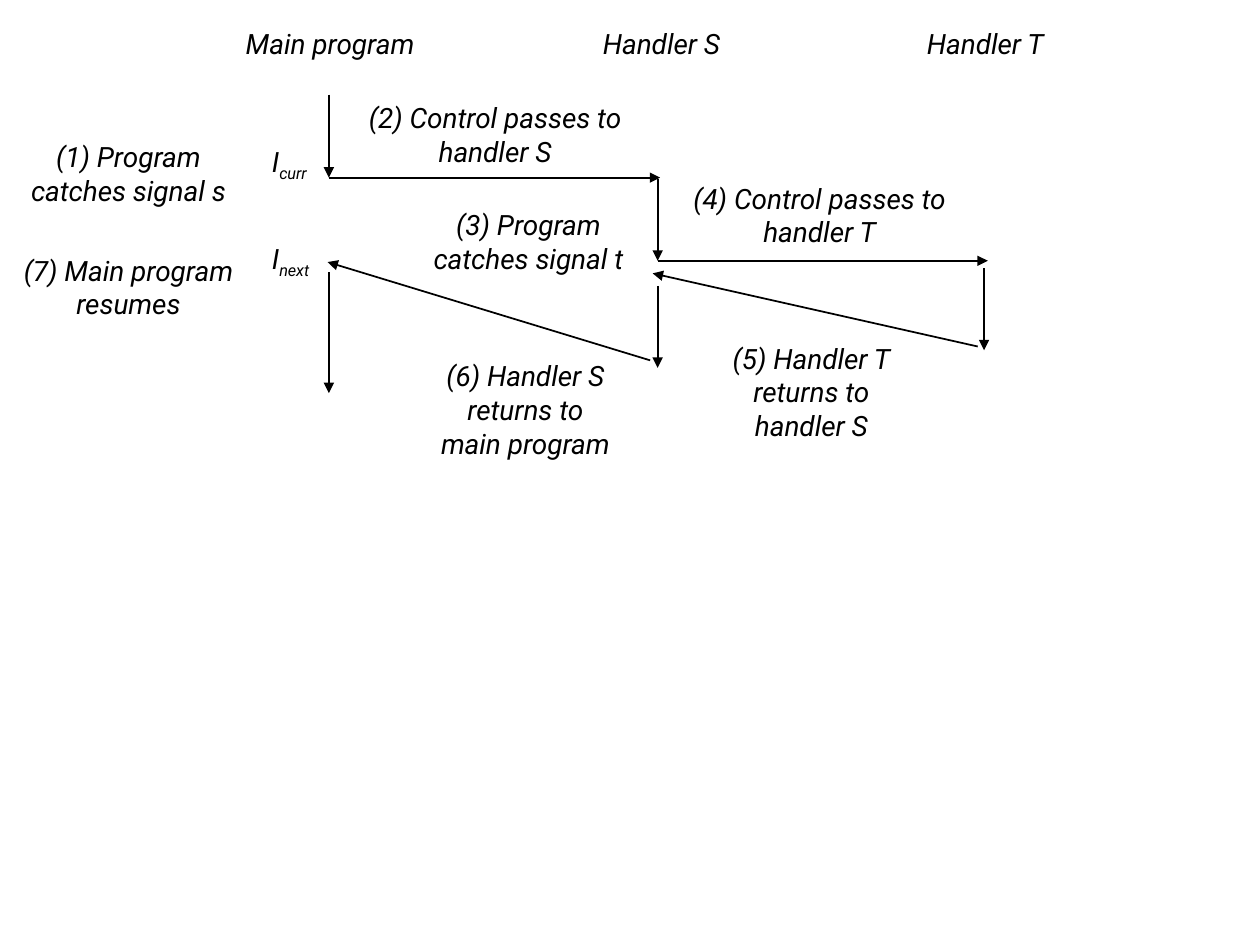
from lxml import etree
from pptx import Presentation
from pptx.dml.color import RGBColor
from pptx.enum.shapes import MSO_CONNECTOR
from pptx.enum.text import MSO_AUTO_SIZE, PP_ALIGN
from pptx.oxml.ns import qn
from pptx.util import Inches, Pt


def color(hex_string):
    return RGBColor.from_string(hex_string)


class Diagram:
    font_name = "Roboto"
    font_size = Pt(16)
    ink = "000000"
    line_width = Pt(1)

    def __init__(self, slide):
        self.slide = slide

    def text_box(self, left, top, width, height):
        box = self.slide.shapes.add_textbox(
            Inches(left), Inches(top), Inches(width), Inches(height))
        box.text_frame.auto_size = MSO_AUTO_SIZE.SHAPE_TO_FIT_TEXT
        return box.text_frame

    def style(self, run):
        font = run.font
        font.name = self.font_name
        font.size = self.font_size
        font.italic = True
        font.color.rgb = color(self.ink)

    def label(self, text, left, top, width, height):
        """Centred, wrapping text; each line break starts a paragraph."""
        frame = self.text_box(left, top, width, height)
        frame.word_wrap = True
        frame.text = text
        for paragraph in frame.paragraphs:
            paragraph.alignment = PP_ALIGN.CENTER
            for run in paragraph.runs:
                self.style(run)

    def instruction(self, symbol, subscript, left, top):
        """A symbol followed by its subscript."""
        frame = self.text_box(left, top, 0.55, 0.37)
        frame.word_wrap = False
        paragraph = frame.paragraphs[0]
        for text in (symbol, subscript):
            run = paragraph.add_run()
            run.text = text
            self.style(run)
        run._r.get_or_add_rPr().set("baseline", "-25000")

    def arrow(self, start_x, start_y, end_x, end_y):
        connector = self.slide.shapes.add_connector(
            MSO_CONNECTOR.STRAIGHT, Inches(start_x), Inches(start_y),
            Inches(end_x), Inches(end_y))
        connector.line.color.rgb = color(self.ink)
        connector.line.width = self.line_width
        line = connector.line._get_or_add_ln()
        etree.SubElement(line, qn("a:tailEnd"), type="triangle")
        etree.SubElement(connector._element.spPr, qn("a:effectLst"))


def main():
    presentation = Presentation()
    presentation.slide_width = Inches(10)
    presentation.slide_height = Inches(7.5)
    slide = presentation.slides.add_slide(presentation.slide_layouts[6])
    diagram = Diagram(slide)

    # Column of each routine
    main_x, handler_s_x, handler_t_x = 2.61, 5.22, 7.81

    # Column headings
    for heading, left, width in (("Main program", 1.72, 1.8),
                                 ("Handler S", 4.55, 1.4),
                                 ("Handler T", 7.12, 1.4)):
        diagram.label(heading, left, 0.16, width, 0.37)

    # Execution within each routine
    for x, top, bottom in ((main_x, 0.75, 1.41),
                           (main_x, 2.16, 3.12),
                           (handler_s_x, 1.42, 2.07),
                           (handler_s_x, 2.27, 2.92),
                           (handler_t_x, 2.13, 2.78)):
        diagram.arrow(x, top, x, bottom)

    # Control passing to a handler, and returning from it
    diagram.arrow(main_x, 1.41, 5.24, 1.41)
    diagram.arrow(handler_s_x, 2.07, 7.84, 2.07)
    diagram.arrow(7.76, 2.75, 5.18, 2.17)
    diagram.arrow(5.16, 2.86, 2.6, 2.08)

    # Instructions around the interruption
    diagram.instruction("I", "curr", 2.06, 1.1)
    diagram.instruction("I", "next", 2.06, 1.87)

    # Numbered steps
    two_lines, three_lines = 0.64, 0.91
    for step, left, top, width, height in (
            ("(1) Program catches signal s", -0.03, 1.06, 2.1, two_lines),
            ("(2) Control passes to handler S", 2.81, 0.75, 2.24, two_lines),
            ("(3) Program catches signal t", 3.18, 1.6, 2.03, two_lines),
            ("(4) Control passes to handler T", 5.35, 1.39, 2.31, two_lines),
            ("(5) Handler T\nreturns to handler S", 5.63, 2.66, 1.62, three_lines),
            ("(6) Handler S\nreturns to main program", 3.36, 2.8, 1.62, three_lines),
            ("(7) Main program resumes", -0.03, 1.96, 2.1, two_lines)):
        diagram.label(step, left, top, width, height)

    presentation.save("out.pptx")


if __name__ == "__main__":
    main()
